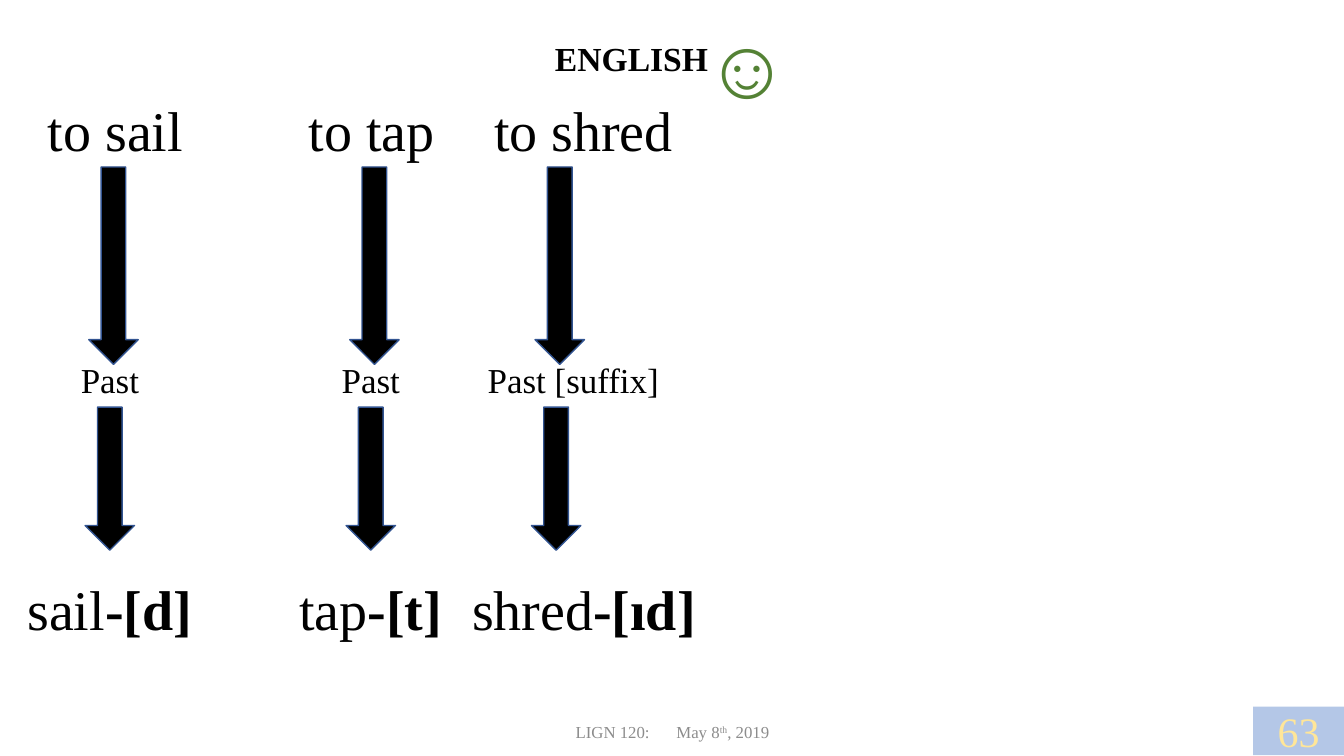
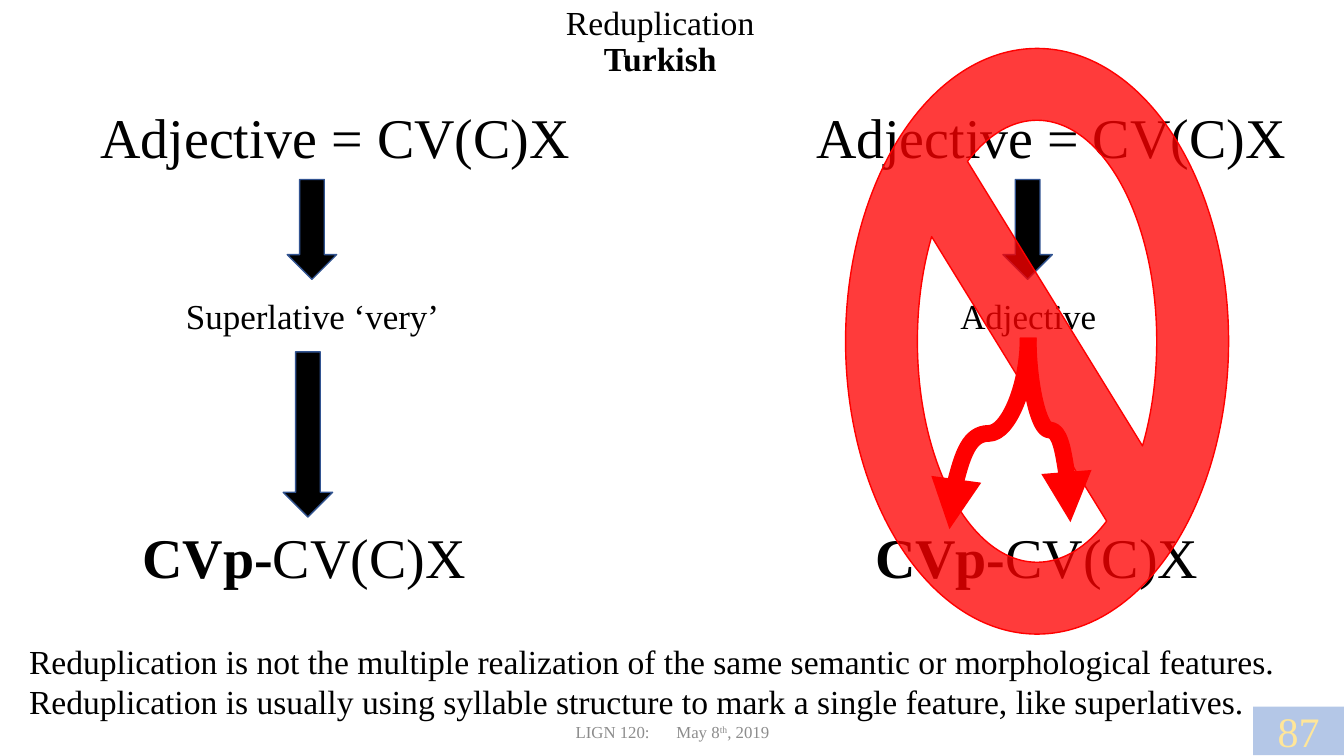
from dataclasses import dataclass
from typing import Sequence

from lxml import etree
from pptx import Presentation
from pptx.dml.color import RGBColor
from pptx.enum.shapes import MSO_CONNECTOR, MSO_SHAPE
from pptx.enum.text import MSO_ANCHOR, MSO_AUTO_SIZE, PP_ALIGN
from pptx.oxml.ns import qn
from pptx.presentation import Presentation as Deck
from pptx.shapes.autoshape import Shape
from pptx.slide import Slide
from pptx.text.text import TextFrame
from pptx.util import Pt

CENTER, LEFT = PP_ALIGN.CENTER, PP_ALIGN.LEFT
TOP, MIDDLE, BOTTOM = MSO_ANCHOR.TOP, MSO_ANCHOR.MIDDLE, MSO_ANCHOR.BOTTOM
FIXED, GROW = MSO_AUTO_SIZE.NONE, MSO_AUTO_SIZE.SHAPE_TO_FIT_TEXT
RECT, DOWN, BAN = MSO_SHAPE.RECTANGLE, MSO_SHAPE.DOWN_ARROW, MSO_SHAPE.NO_SYMBOL
CURVE = MSO_CONNECTOR.CURVE
TITLE_ONLY = 5


@dataclass(frozen=True)
class Theme:
    serif: str = "Times New Roman"
    sans: str = "Arial"
    ink: str = "000000"
    edge: str = "325491"
    band: str = "B4C7E7"
    cream: str = "FFE699"
    gray: str = "8C8C8C"
    green: str = "548235"
    red: str = "FF0000"
    word: float = 40
    label: float = 25
    body: float = 24
    foot: float = 12
    page: float = 30
    icon: float = 60
    tab: float = 72
    shaft: float = 35.3
    tall: float = 55.4
    low: float = 37.4


THEME = Theme()


@dataclass(frozen=True)
class Box:
    left: float
    top: float
    width: float
    height: float


@dataclass(frozen=True)
class Part:
    """One run of text."""
    text: str
    bold: bool = False
    raised: bool = False


@dataclass(frozen=True)
class Look:
    size: float
    color: str = THEME.ink
    font: str = THEME.serif
    align: PP_ALIGN = CENTER
    lead: float = 1.0


WORD, LABEL, BODY = Look(THEME.word), Look(THEME.label), Look(THEME.body, align=LEFT)
TITLE = Look(THEME.body, lead=0.9)
FOOT = Look(THEME.foot, THEME.gray)
PAGE = Look(THEME.page, THEME.cream)
ICON = Look(THEME.icon, THEME.green, THEME.sans, LEFT)

Line = Sequence[Part]


@dataclass(frozen=True)
class Verb:
    left: float
    base: str
    label: str
    label_width: float
    stem: str
    ending: str
    form_width: float


@dataclass(frozen=True)
class Side:
    left: float
    label: str
    form_left: float


VERBS = (
    Verb(20.2, "to sail", "Past", 116.6, "sail", "-[d]", 148.3),
    Verb(206.6, "to tap", "Past", 116.6, "tap", "-[t]", 148.3),
    Verb(339, "to shred", "Past [suffix]", 141, "shred", "-[ıd]", 188),
)
SIDES = (
    Side(56.2, "Superlative ‘very’", 90),
    Side(567.4, "Adjective", 613.4),
)
NOTE = (
    "Reduplication is not the multiple realization of the same semantic or "
    "morphological features. Reduplication is usually using syllable structure "
    "to mark a single feature, like superlatives."
)


def rgb(color: str) -> RGBColor:
    return RGBColor.from_string(color)


def place(shape: Shape, box: Box) -> None:
    shape.left, shape.top = Pt(box.left), Pt(box.top)
    shape.width, shape.height = Pt(box.width), Pt(box.height)


def write(frame: TextFrame, lines: Sequence[Line], look: Look) -> None:
    for index, line in enumerate(lines):
        para = frame.paragraphs[0] if index == 0 else frame.add_paragraph()
        para.alignment = look.align
        para.line_spacing = look.lead
        para.space_before = Pt(0)
        if any("\t" in part.text for part in line):
            stops = etree.SubElement(para._p.get_or_add_pPr(), qn("a:tabLst"))
            for step in (1, 2):
                etree.SubElement(stops, qn("a:tab"), pos=str(Pt(step * THEME.tab)), algn="l")
        for part in line:
            run = para.add_run()
            run.text = part.text
            font = run.font
            font.name, font.size, font.bold = look.font, Pt(look.size), part.bold
            font.color.rgb = rgb(look.color)
            if part.raised:
                run._r.get_or_add_rPr().set("baseline", "30000")


def fit(frame: TextFrame, anchor: MSO_ANCHOR, auto: MSO_AUTO_SIZE) -> None:
    frame.word_wrap = True
    frame.auto_size = auto
    frame.vertical_anchor = anchor


def text(slide: Slide, box: Box, line: Line, look: Look,
         anchor: MSO_ANCHOR = TOP, auto: MSO_AUTO_SIZE = GROW) -> None:
    frame = slide.shapes.add_textbox(
        Pt(box.left), Pt(box.top), Pt(box.width), Pt(box.height)).text_frame
    fit(frame, anchor, auto)
    write(frame, [line], look)


def solid(slide: Slide, kind: MSO_SHAPE, box: Box, fill: str, edge: str = "") -> Shape:
    shape = slide.shapes.add_shape(
        kind, Pt(box.left), Pt(box.top), Pt(box.width), Pt(box.height))
    shape.shadow.inherit = False
    shape.fill.solid()
    shape.fill.fore_color.rgb = rgb(fill)
    if edge:
        shape.line.color.rgb = rgb(edge)
        shape.line.width = Pt(1)
    else:
        shape.line.fill.background()
    return shape


def arrow(slide: Slide, left: float, top: float, height: float) -> None:
    solid(slide, DOWN, Box(left, top, THEME.shaft, height), THEME.ink, THEME.edge)


def curve(slide: Slide, start: tuple[float, float], end: tuple[float, float]) -> None:
    """Draw a curved arrow that leaves and arrives vertically, by a quarter turn."""
    (x1, y1), (x2, y2) = start, end
    mid_x, mid_y = (x1 + x2) / 2, (y1 + y2) / 2
    half_w, half_h = (y2 - y1) / 2, abs(x2 - x1) / 2
    right = x2 > x1
    if right:
        half_w = -half_w
    link = slide.shapes.add_connector(
        CURVE, Pt(mid_x - half_w), Pt(mid_y - half_h),
        Pt(mid_x + half_w), Pt(mid_y + half_h))
    link.line.color.rgb = rgb(THEME.red)
    link.line.width = Pt(12)
    props = link._element.spPr
    props.find(qn("a:xfrm")).set("rot", str((270 if right else 90) * 60000))
    etree.SubElement(props.find(qn("a:ln")), qn("a:tailEnd"), type="triangle")
    etree.SubElement(props, qn("a:effectLst"))


def start(deck: Deck, title: Sequence[Line], width: float, page: str) -> Slide:
    """Add a slide with its title, footer and page number."""
    slide = deck.slides.add_slide(deck.slide_layouts[TITLE_ONLY])
    head = slide.shapes.title
    place(head, Box(36, 1.4, width, 58.3))
    fit(head.text_frame, BOTTOM, FIXED)
    write(head.text_frame, title, TITLE)

    band = solid(slide, RECT, Box(895, 504.7, 65, 34.6), THEME.band)
    fit(band.text_frame, MIDDLE, FIXED)
    write(band.text_frame, [[Part(page)]], PAGE)

    foot = [Part("LIGN 120:\tMay 8"), Part("th", raised=True), Part(", 2019")]
    text(slide, Box(315.4, 508.3, 329.8, 28.8), foot, FOOT, MIDDLE, FIXED)
    return slide


def english(deck: Deck) -> None:
    slide = start(deck, [[Part("ENGLISH", True)]], 830.2, "63")
    text(slide, Box(496, 6.5, 64, 80), [Part("☺")], ICON)
    for verb in VERBS:
        left = verb.left
        text(slide, Box(left, 65, 172, THEME.tall), [Part(verb.base + "\t")], WORD)
        arrow(slide, left + 43.2, 119.3, 141)
        text(slide, Box(left, 252.8, verb.label_width, THEME.low), [Part(verb.label)], LABEL)
        arrow(slide, left + 40.6, 290.8, 102.2)
        form = [Part(verb.stem), Part(verb.ending, True)]
        text(slide, Box(left - 15.9, 406.6, verb.form_width, THEME.tall), form, WORD)


def turkish(deck: Deck) -> None:
    title = [[Part("Reduplication")], [Part("Turkish", True)]]
    slide = start(deck, title, 871.2, "87")
    for side in SIDES:
        left = side.left
        text(slide, Box(left, 69.8, 366.5, THEME.tall), [Part("Adjective = CV(C)X")], WORD)
        arrow(slide, left + 149, 128.2, 71.3)
        text(slide, Box(left + 64.8, 206.6, 204.5, THEME.low), [Part(side.label)], LABEL)
        form = [Part("CVp-", True), Part("CV(C)X")]
        text(slide, Box(side.form_left, 369.4, 254.2, THEME.tall), form, WORD)
    arrow(slide, 202.3, 251.3, 118)

    for end in ((764.6, 373), (678.2, 378)):
        curve(slide, (734.4, 241.2), end)
    ban = solid(slide, BAN, Box(604, 34.6, 273.6, 418.3), THEME.red, THEME.red)
    tint = ban._element.spPr.find(qn("a:solidFill")).find(qn("a:srgbClr"))
    etree.SubElement(tint, qn("a:alpha"), val="77000")
    text(slide, Box(13.7, 454.3, 938.2, 65.5), [Part(NOTE)], BODY)


def main() -> None:
    deck = Presentation()
    deck.slide_width, deck.slide_height = Pt(960), Pt(540)
    english(deck)
    turkish(deck)
    deck.save("out.pptx")


if __name__ == "__main__":
    main()
